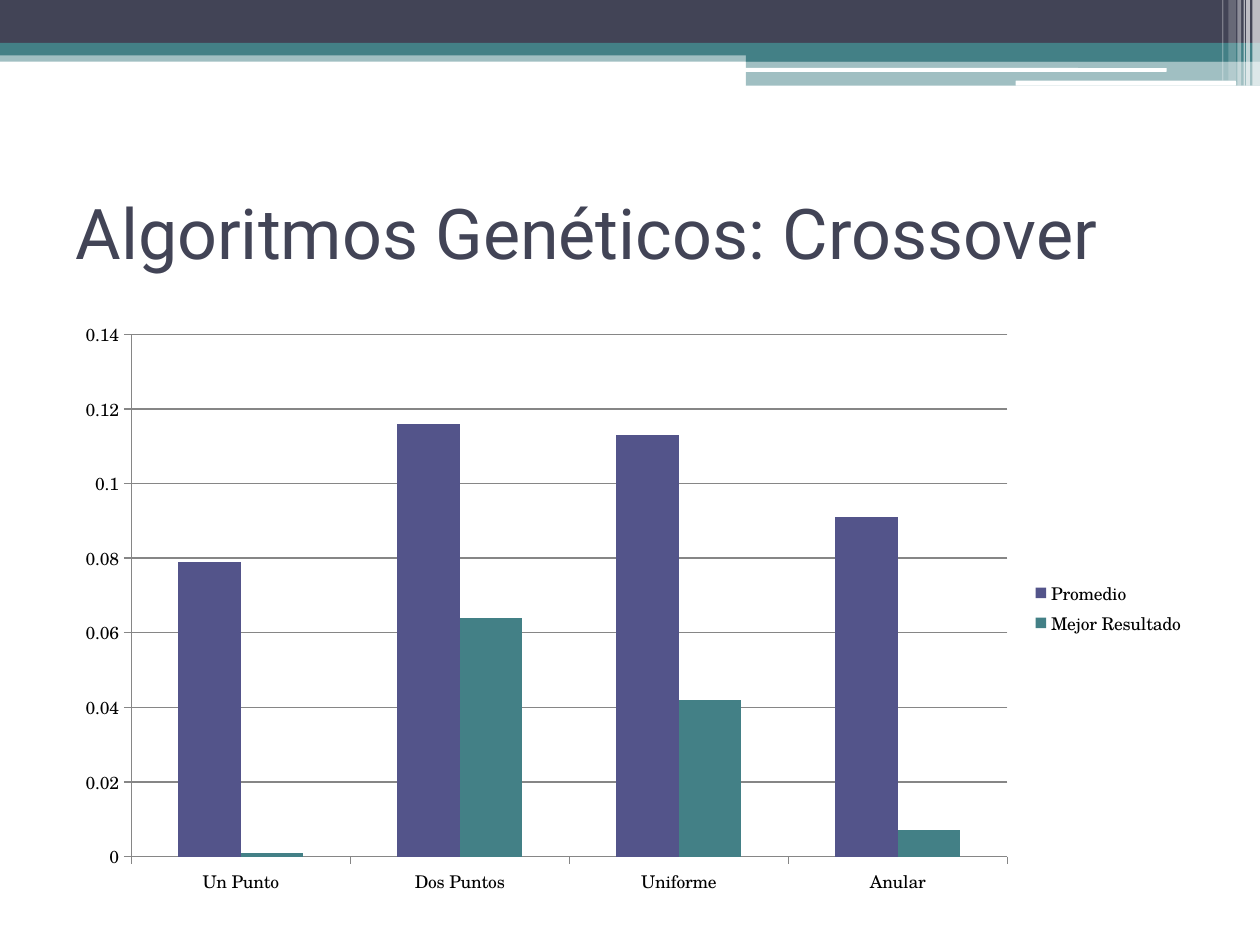
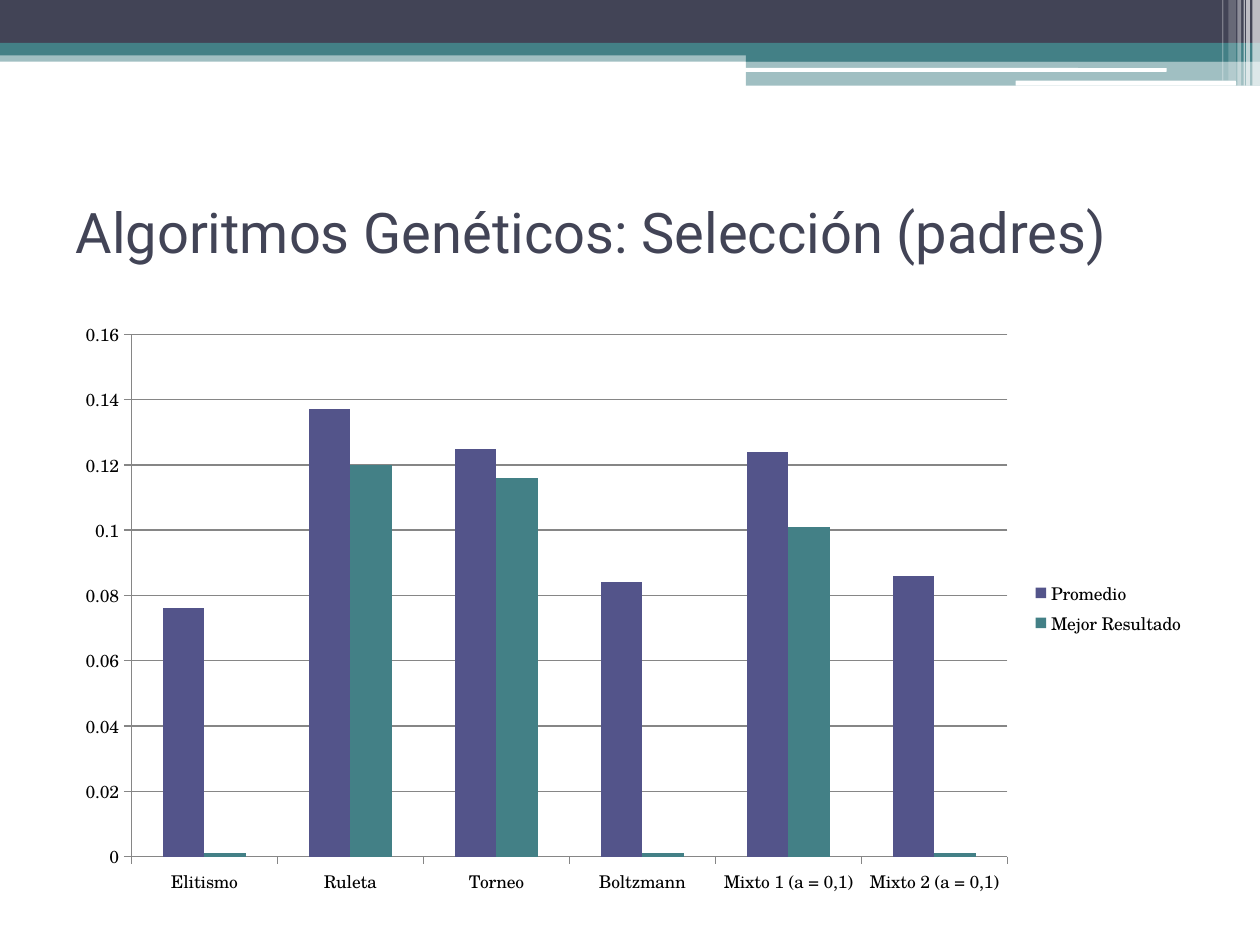
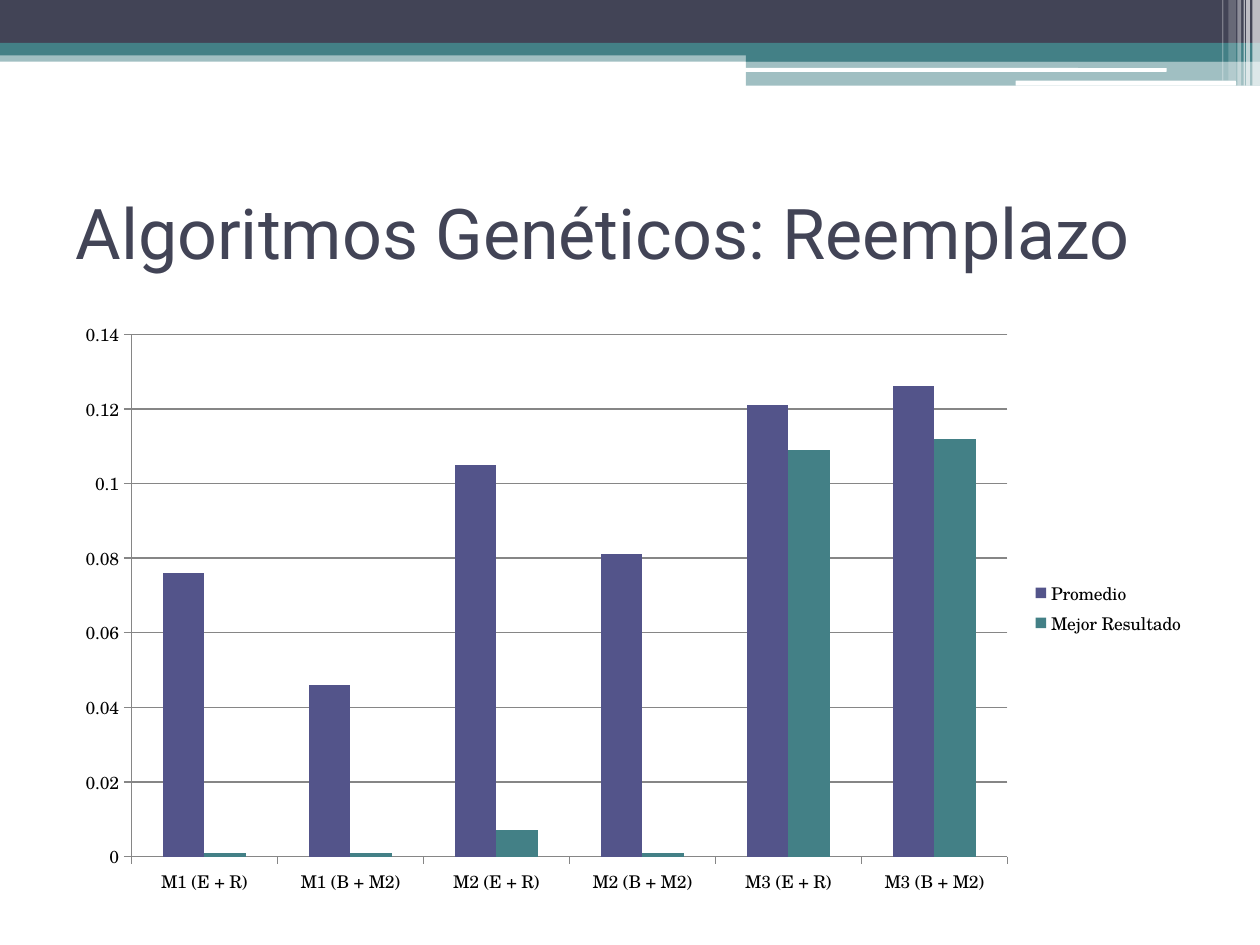
from dataclasses import dataclass

from pptx import Presentation
from pptx.chart.data import CategoryChartData
from pptx.dml.color import RGBColor
from pptx.enum.chart import XL_CHART_TYPE, XL_LEGEND_POSITION, XL_TICK_MARK
from pptx.enum.shapes import MSO_SHAPE
from pptx.enum.text import MSO_ANCHOR, MSO_AUTO_SIZE, PP_ALIGN
from pptx.oxml.ns import qn
from pptx.slide import Slide, SlideLayout
from pptx.util import Inches, Pt

RECT, ROUND = MSO_SHAPE.RECTANGLE, MSO_SHAPE.ROUNDED_RECTANGLE
COLUMN = XL_CHART_TYPE.COLUMN_CLUSTERED
RIGHT = XL_LEGEND_POSITION.RIGHT
OUT, NONE = XL_TICK_MARK.OUTSIDE, XL_TICK_MARK.NONE
LEFT, MIDDLE = PP_ALIGN.LEFT, MSO_ANCHOR.MIDDLE
FIXED = MSO_AUTO_SIZE.NONE

WIDE, HIGH = Inches(10), Inches(7.5)
COLS, ROWS = 1000, 750
DARK, TEAL, WHITE = "424456", "438086", "FFFFFF"
BLUE, GREY, BLACK = "53548A", "868686", "000000"
HEAD, BODY = "Roboto", "TeX Gyre Schola"


@dataclass(frozen=True)
class Box:
    col: int
    row: int
    cols: int
    rows: int

    def place(self) -> tuple[int, int, int, int]:
        wide, high = WIDE / COLS, HIGH / ROWS
        return (round(self.col * wide), round(self.row * high),
                round(self.cols * wide), round(self.rows * high))


@dataclass(frozen=True)
class Band:
    box: Box
    fill: str
    alpha: int = 100
    form: int = RECT


@dataclass(frozen=True)
class Page:
    title: str
    size: int
    top: float
    names: list[str]
    means: list[float]
    bests: list[float]


TITLE = Box(50, 125, 900, 117)
PLOT = Box(50, 246, 900, 473)

BANDS = [
    Band(Box(0, 40, COLS, 9), TEAL, 50),
    Band(Box(0, 0, COLS, 34), DARK),
    Band(Box(0, 34, COLS, 10), TEAL),
    Band(Box(592, 39, 408, 10), TEAL),
    Band(Box(592, 48, 408, 20), TEAL, 50),
    Band(Box(591, 54, 335, 3), WHITE, form=ROUND),
    Band(Box(806, 64, 175, 4), WHITE, form=ROUND),
] + [
    Band(Box(col, 0, cols, rows), WHITE, alpha)
    for col, cols, rows, alpha in [
        (994, 6, 68, 65), (989, 3, 68, 65), (987, 1, 68, 60),
        (982, 3, 68, 40), (975, 6, 64, 20), (970, 1, 64, 30),
    ]
]

PAGES = [
    Page("Algoritmos Genéticos: Crossover", 40, 0.14,
         ["Un Punto", "Dos Puntos", "Uniforme", "Anular"],
         [0.079, 0.116, 0.113, 0.091],
         [0.001, 0.064, 0.042, 0.007]),
    Page("Algoritmos Genéticos: Selección (padres)", 32, 0.16,
         ["Elitismo", "Ruleta", "Torneo", "Boltzmann",
          "Mixto 1 (a = 0,1)", "Mixto 2 (a = 0,1)"],
         [0.076, 0.137, 0.125, 0.084, 0.124, 0.086],
         [0.001, 0.12, 0.116, 0.001, 0.101, 0.001]),
    Page("Algoritmos Genéticos: Reemplazo", 40, 0.14,
         [f"M{num} ({mix})" for num in (1, 2, 3) for mix in ("E + R", "B + M2")],
         [0.076, 0.046, 0.105, 0.081, 0.121, 0.126],
         [0.001, 0.001, 0.007, 0.001, 0.109, 0.112]),
]


def paint(code: str) -> RGBColor:
    return RGBColor.from_string(code)


def style(font, *, size: int, color: str, face: str) -> None:
    font.size, font.name = Pt(size), face
    font.color.rgb = paint(color)


def write(frame, text: str, *, align=LEFT, anchor=MIDDLE, **look) -> None:
    frame.word_wrap, frame.auto_size = True, FIXED
    frame.vertical_anchor = anchor
    line = frame.paragraphs[0]
    line.alignment = align
    run = line.add_run()
    run.text = text
    style(run.font, **look)


def move(shape, box: Box) -> None:
    shape.left, shape.top, shape.width, shape.height = box.place()


def draw(slide: Slide, band: Band):
    shape = slide.shapes.add_shape(band.form, *band.box.place())
    shape.shadow.inherit = False
    shape.fill.solid()
    shape.fill.fore_color.rgb = paint(band.fill)
    shape.line.fill.background()
    if band.alpha < 100:
        color = next(shape.element.iter(qn("a:srgbClr")))
        alpha = color.makeelement(qn("a:alpha"), {"val": str(band.alpha * 1000)})
        color.append(alpha)
    return shape


def dress(layout: SlideLayout, slide: Slide) -> None:
    tree = layout.shapes.element
    for step, band in enumerate(BANDS):
        node = draw(slide, band).element
        node.nvSpPr.cNvPr.set("id", str(100 + step))
        tree.insert(2 + step, node)
    move(layout.placeholders[0], TITLE)


def chart(slide: Slide, page: Page) -> None:
    data = CategoryChartData()
    data.categories = page.names
    data.add_series("Promedio", page.means)
    data.add_series("Mejor Resultado", page.bests)
    graph = slide.shapes.add_chart(COLUMN, *PLOT.place(), data).chart
    style(graph.font, size=10, color=BLACK, face=BODY)
    graph.has_title = False
    graph.has_legend = True
    graph.legend.position = RIGHT
    graph.legend.include_in_layout = False
    plot = graph.plots[0]
    plot.gap_width, plot.overlap = 150, 0
    plot.vary_by_categories = False
    for row, color in zip(plot.series, (BLUE, TEAL)):
        row.format.fill.solid()
        row.format.fill.fore_color.rgb = paint(color)
    scale = graph.value_axis
    scale.minimum_scale, scale.maximum_scale = 0, page.top
    scale.major_unit = 0.02
    scale.has_major_gridlines = True
    for axis in (graph.category_axis, scale):
        axis.major_tick_mark, axis.minor_tick_mark = OUT, NONE
    for part in (graph.category_axis, scale, scale.major_gridlines):
        part.format.line.color.rgb = paint(GREY)
        part.format.line.width = Pt(0.75)


def build() -> None:
    deck = Presentation()
    deck.slide_width, deck.slide_height = WIDE, HIGH
    layout = deck.slide_layouts[5]
    for page in PAGES:
        slide = deck.slides.add_slide(layout)
        if page is PAGES[0]:
            dress(layout, slide)
        title = slide.shapes.title
        move(title, TITLE)
        write(title.text_frame, page.title, size=page.size, color=DARK, face=HEAD)
        chart(slide, page)
    deck.save("out.pptx")


build()
